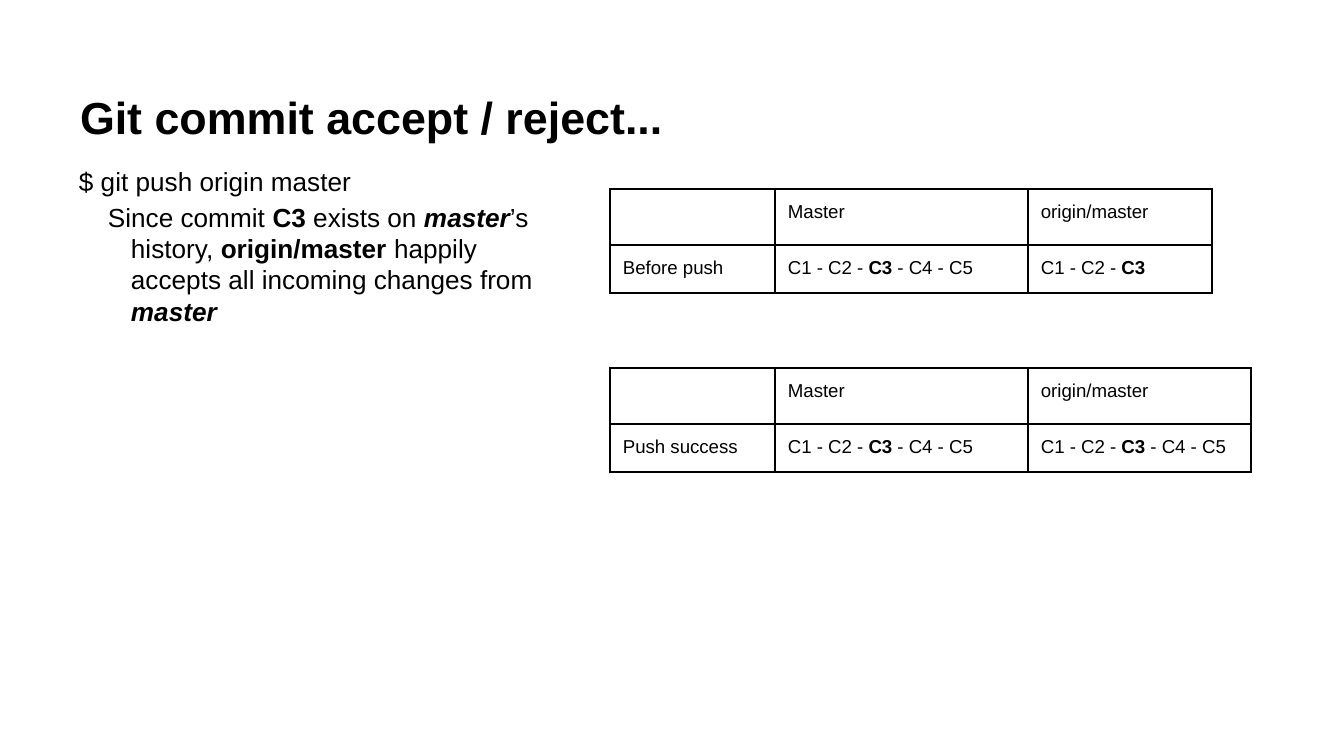
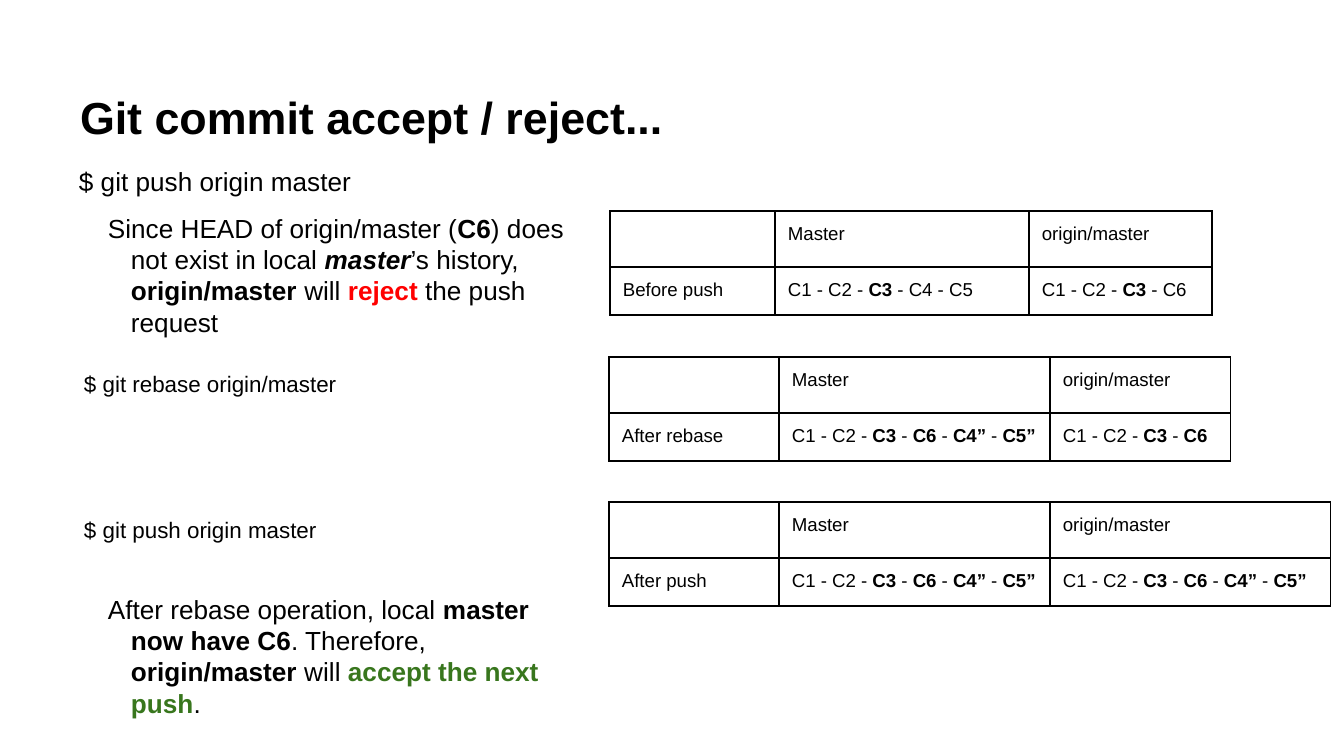
from lxml import etree
from pptx import Presentation
from pptx import util as u
from pptx.dml.color import RGBColor
from pptx.enum import text
from pptx.oxml.ns import qn

BLACK = RGBColor(0x00, 0x00, 0x00)
RED = RGBColor(0xFF, 0x00, 0x00)
GREEN = RGBColor(0x38, 0x76, 0x1D)
FONT = "Arial"
EMPHASIS = {
    "master": {"italic": True},
    "reject": {"color": RED},
    "accept the next push": {"color": GREEN},
}

SLIDE_SIZE = 1344, 756
TITLE = "Git commit accept / reject..."
TITLE_BOX = 67, 31, 1210, 126
COMMAND_BOX = 66, 152, 538, 67
INSET = 13
HANGING = 51, -23
ROW_HEIGHTS = 56, 48
HEADINGS = "", "Master", "origin/master"

LOCAL = "C1 - C2 - *C3* - C4 - C5"
REBASED = "C1 - C2 - *C3* - *C6* - *C4”* - *C5”*"


def px(n):
    return u.Emu(round(n * 914400 / 134.4))


def write(tf, content, size, **formats):
    """Fill a text frame; parts between asterisks are bold, some with extra emphasis."""
    p = tf.paragraphs[0]
    p.alignment = text.PP_ALIGN.LEFT
    for i, part in enumerate(content.split("*")):
        if not part:
            continue
        r = p.add_run()
        r.text = part
        values = {"name": FONT, "size": u.Pt(size), "bold": i % 2 == 1, "color": BLACK, **formats}
        if i % 2:
            values.update(EMPHASIS.get(part, {}))
        r.font.color.rgb = values.pop("color")
        for name, value in values.items():
            setattr(r.font, name, value)
    return p


def set_frame(tf, anchor):
    values = {"word_wrap": True, "auto_size": text.MSO_AUTO_SIZE.NONE, "vertical_anchor": anchor}
    for side in ("left", "top", "right", "bottom"):
        values["margin_" + side] = px(INSET)
    for name, value in values.items():
        setattr(tf, name, value)


def add_titled_slide(prs):
    slide = prs.slides.add_slide(prs.slide_layouts[5])
    sp = slide.shapes.title
    sp.left, sp.top, sp.width, sp.height = map(px, TITLE_BOX)
    set_frame(sp.text_frame, text.MSO_ANCHOR.BOTTOM)
    write(sp.text_frame, TITLE, 24, bold=True)
    add_text(slide, COMMAND_BOX, "$ git push origin master", 14)
    return slide


def add_text(slide, box, content, size):
    tf = slide.shapes.add_textbox(*map(px, box)).text_frame
    set_frame(tf, text.MSO_ANCHOR.TOP)
    return write(tf, content, size)


def add_explanation(slide, box, content):
    p = add_text(slide, box, content, 14)
    p.space_before = u.Pt(6)
    margin, indent = map(px, HANGING)
    pPr = p._p.get_or_add_pPr()
    pPr.set("marL", str(margin))
    pPr.set("indent", str(indent))


def add_borders(cell):
    tcPr = cell._tc.get_or_add_tcPr()
    for i, edge in enumerate(("lnL", "lnR", "lnT", "lnB")):
        ln = etree.Element(qn("a:" + edge), w=str(u.Pt(0.75)))
        fill = etree.SubElement(ln, qn("a:solidFill"))
        etree.SubElement(fill, qn("a:srgbClr"), val=str(BLACK))
        tcPr.insert(i, ln)


def add_history(slide, left, top, widths, label, local, remote):
    """Table of the commits on the local and the remote branch."""
    rows = HEADINGS, (label, local, remote)
    table = slide.shapes.add_table(len(rows), len(widths), px(left), px(top),
                                   px(sum(widths)), px(sum(ROW_HEIGHTS))).table
    table.first_row = table.horz_banding = False
    for column, width in zip(table.columns, widths):
        column.width = px(width)
    for y, row in enumerate(rows):
        table.rows[y].height = px(ROW_HEIGHTS[y])
        for x, content in enumerate(row):
            cell = table.cell(y, x)
            cell.fill.background()
            add_borders(cell)
            for side in ("left", "top", "right", "bottom"):
                setattr(cell, "margin_" + side, px(INSET))
            p = write(cell.text_frame, content, 10)
            p.space_before = u.Pt(6)
            if not content:
                etree.SubElement(p._p, qn("a:endParaRPr"), sz="1000")


def build_accepted(prs):
    slide = add_titled_slide(prs)
    add_explanation(slide, (67, 188, 512, 136),
                    "Since commit *C3* exists on *master*’s history, *origin/master *"
                    "happily accepts all incoming changes from *master*")
    add_history(slide, 610, 189, (165, 253, 184), "Before push", LOCAL, "C1 - C2 - *C3*")
    add_history(slide, 610, 368, (165, 253, 223), "Push success", LOCAL, LOCAL)


def build_rejected(prs):
    slide = add_titled_slide(prs)
    add_explanation(slide, (67, 199, 512, 168),
                    "Since HEAD of origin/master (*C6*) does not exist in local *master*’s history, "
                    "*origin/master *will *reject* the push request")
    add_explanation(slide, (67, 580, 512, 136),
                    "After rebase operation, local *master now have C6*. Therefore, "
                    "*origin/master* will *accept the next push*.")
    for top, command in ((357, "$ git rebase origin/master"), (503, "$ git push origin master")):
        add_text(slide, (71, top, 538, 46), command, 12)
    add_history(slide, 610, 211, (165, 254, 183), "Before push", LOCAL, "C1 - C2 - *C3* - C6")
    add_history(slide, 609, 357, (170, 271, 181), "After rebase", REBASED, "C1 - C2 - *C3* - *C6*")
    add_history(slide, 609, 502, (170, 271, 281), "After push", REBASED, REBASED)


def main():
    prs = Presentation()
    prs.slide_width, prs.slide_height = map(px, SLIDE_SIZE)
    build_accepted(prs)
    build_rejected(prs)
    prs.save("out.pptx")


if __name__ == "__main__":
    main()
